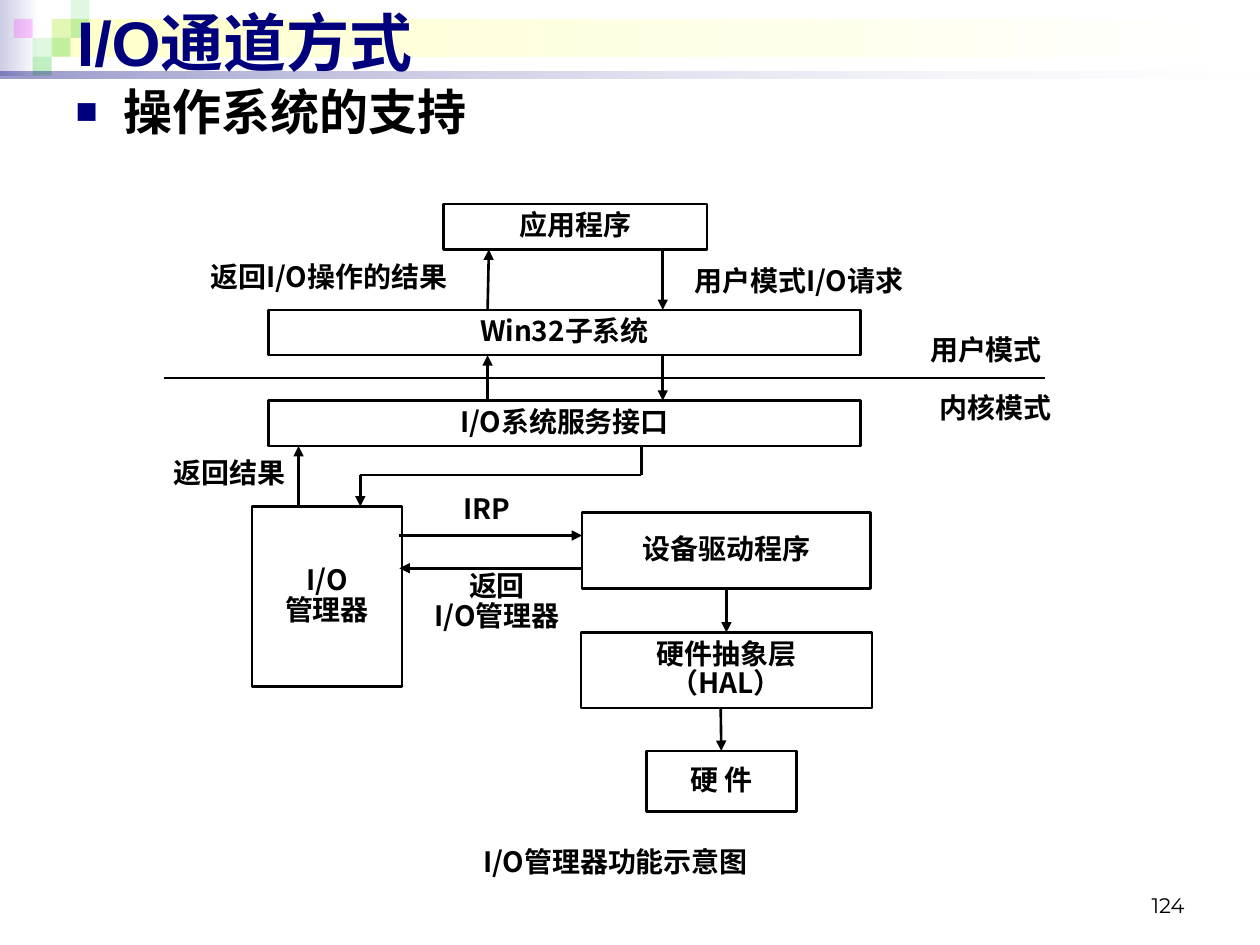
from dataclasses import dataclass

from lxml.etree import SubElement
from pptx import Presentation
from pptx.dml.color import RGBColor
from pptx.enum.shapes import MSO_CONNECTOR, MSO_SHAPE
from pptx.enum.text import MSO_ANCHOR, MSO_AUTO_SIZE, PP_ALIGN
from pptx.oxml.ns import qn
from pptx.slide import Slide
from pptx.util import Pt

PX = 9144  # one px is a hundredth of an inch
NAVY = RGBColor(0x00, 0x00, 0x7D)
LAVENDER = RGBColor(0xCC, 0xCC, 0xE6)
CREAM = RGBColor(0xFF, 0xFF, 0xCC)
GREEN = RGBColor(0x33, 0xCC, 0x33)
MAGENTA = RGBColor(0xFF, 0x00, 0xFF)
BLACK = RGBColor(0x00, 0x00, 0x00)
WHITE = RGBColor(0xFF, 0xFF, 0xFF)
TOP, BOTTOM = 0, 2  # connection sites of a rectangle


def emu(*lengths):
    return [length * PX for length in lengths]


def place(shape, *bounds):
    shape.left, shape.top, shape.width, shape.height = emu(*bounds)


def set_opacity(shape, *percents):
    """Give each fill colour of the shape, in order, its opacity."""
    colours = list(shape._element.spPr.iter(qn("a:srgbClr")))
    for colour, percent in zip(colours, percents):
        SubElement(colour, qn("a:alpha"), val=str(percent * 1000))


@dataclass
class Page:
    slide: Slide
    cjk_font: str = "Noto Sans CJK SC"
    label_size: int = 16
    line_spacing: float = 0.88

    def add_span(self, para, text, size, font, colour=BLACK, bold=True):
        span = para.add_run()
        span.text = text
        span.font.size = Pt(size)
        span.font.name = font
        span.font.bold = bold
        span.font.color.rgb = colour
        SubElement(span.font._element, qn("a:ea"), typeface=self.cjk_font)

    def plain(self, *bounds):
        shape = self.slide.shapes.add_shape(MSO_SHAPE.RECTANGLE, *emu(*bounds))
        shape.shadow.inherit = False
        shape.line.fill.background()
        return shape

    def tile(self, bounds, colour, opacity):
        shape = self.plain(*bounds)
        shape.fill.solid()
        shape.fill.fore_color.rgb = colour
        set_opacity(shape, opacity)

    def fade(self, bounds, colour, opacities=()):
        """A band that runs from the colour to white, left to right."""
        shape = self.plain(*bounds)
        shape.fill.gradient()
        shape.fill.gradient_angle = 0
        for stop, stop_colour in zip(shape.fill.gradient_stops, (colour, WHITE)):
            stop.color.rgb = stop_colour
        set_opacity(shape, *opacities)

    def placeholder(self, shape, bounds, anchor):
        """Move a placeholder in front of the decoration; return its paragraph."""
        self.slide.shapes._spTree.append(shape._element)
        place(shape, *bounds)
        frame = shape.text_frame
        frame.auto_size = MSO_AUTO_SIZE.NONE
        frame.vertical_anchor = anchor
        para = frame.paragraphs[0]
        para.alignment = PP_ALIGN.LEFT
        para.space_before = Pt(0)
        return para

    def title(self, text, *bounds):
        para = self.placeholder(self.slide.shapes.title, bounds, MSO_ANCHOR.MIDDLE)
        self.add_span(para, text, 36, "Arial", NAVY)

    def bullet(self, text, *bounds):
        para = self.placeholder(self.slide.placeholders[1], bounds, MSO_ANCHOR.TOP)
        props = para._p.get_or_add_pPr()
        props.set("marL", str(38 * PX))
        props.set("indent", str(-38 * PX))
        colour = SubElement(props, qn("a:buClr"))
        SubElement(colour, qn("a:srgbClr"), val=str(NAVY))
        SubElement(props, qn("a:buSzPct"), val="75000")
        SubElement(props, qn("a:buChar"), char="■")
        self.add_span(para, text, 28, "Times New Roman")

    def box(self, bounds, *lines, border=BLACK, anchor=MSO_ANCHOR.MIDDLE):
        shape = self.plain(*bounds)
        shape.fill.solid()
        shape.fill.fore_color.rgb = WHITE
        shape.line.color.rgb = border
        shape.line.width = Pt(1.5 if border == BLACK else 0.75)
        frame = shape.text_frame
        frame.word_wrap = True
        frame.vertical_anchor = anchor
        frame.margin_left = frame.margin_top = 0
        frame.margin_right = frame.margin_bottom = 0
        for index, text in enumerate(lines):
            para = frame.add_paragraph() if index else frame.paragraphs[0]
            para.alignment = PP_ALIGN.CENTER
            para.line_spacing = self.line_spacing
            self.add_span(para, text, self.label_size, self.cjk_font)
        return shape

    def label(self, bounds, *lines, anchor=MSO_ANCHOR.MIDDLE):
        self.box(bounds, *lines, border=WHITE, anchor=anchor)

    def line(self, start, end, width=1.5, arrow=True, begin=None, finish=None):
        """begin and finish are (box, side) pairs that the ends are joined to."""
        connector = self.slide.shapes.add_connector(
            MSO_CONNECTOR.STRAIGHT, *emu(*start, *end))
        if begin:
            connector.begin_connect(*begin)
        if finish:
            connector.end_connect(*finish)
        connector.line.color.rgb = BLACK
        connector.line.width = Pt(width)
        props = connector._element.spPr
        if arrow:
            SubElement(props.find(qn("a:ln")), qn("a:tailEnd"), type="triangle")
        SubElement(props, qn("a:effectLst"))

    def number(self, text, *bounds):
        frame = self.slide.shapes.add_textbox(*emu(*bounds)).text_frame
        frame.word_wrap = True
        frame.vertical_anchor = MSO_ANCHOR.BOTTOM
        para = frame.paragraphs[0]
        para.alignment = PP_ALIGN.RIGHT
        self.add_span(para, text, 12, "Montserrat", bold=False)


def draw_header(page):
    page.fade((0, 0, 31, 60), LAVENDER)
    page.fade((41, 15, 955, 30), CREAM)
    side = 15
    for column, row, colour, opacity in (
            (2, 1, GREEN, 15), (3, 0, GREEN, 15), (3, 1, GREEN, 30), (1, 2, GREEN, 15),
            (0, 1, MAGENTA, 20), (2, 2, GREEN, 30), (1, 3, GREEN, 30)):
        page.tile((11 + column * side, row * side, side, side), colour, opacity)
    page.fade((0, 57, 1000, 5), NAVY, (40, 10))
    page.title("I/O通道方式", 51, -3, 937, 71)
    page.bullet("操作系统的支持", 50, 60, 938, 677)


def draw_diagram(page):
    page.line((130, 300), (829, 300), width=1, arrow=False)
    page.box((352, 162, 209, 36), "应用程序")
    page.box((213, 246, 470, 36), "Win32子系统")
    page.box((213, 318, 470, 36), "I/O系统服务接口")
    page.box((200, 402, 119, 143), "I/O", "管理器")
    driver = page.box((462, 407, 229, 60), "设备驱动程序")
    abstraction = page.box((461, 502, 231, 60), "硬件抽象层", "（HAL）")
    hardware = page.box((513, 596, 119, 48), "硬 件")

    page.label((728, 265, 109, 28), "用户模式")
    page.label((733, 310, 114, 30), "内核模式")
    page.label((362, 392, 49, 27), "IRP")
    page.label((336, 455, 117, 47), "返回", "I/O管理器")
    page.label((533, 210, 202, 29), "用户模式I/O请求")
    page.label((130, 365, 104, 33), "返回结果", anchor=MSO_ANCHOR.TOP)
    page.label((148, 206, 226, 30), "返回I/O操作的结果")
    page.label((295, 666, 387, 39), "I/O管理器功能示意图")

    for start, end in (
            ((526, 198), (526, 246)), ((526, 282), (526, 318)),
            ((387, 318), (387, 282)), ((387, 246), (388, 198)),
            ((237, 402), (237, 354)), ((286, 377), (286, 402)),
            ((317, 425), (462, 425)), ((461, 451), (317, 451))):
        page.line(start, end)
    page.line((509, 354), (509, 377), arrow=False)
    page.line((509, 377), (286, 377), arrow=False)
    page.line((576, 467), (576, 502), begin=(driver, BOTTOM), finish=(abstraction, TOP))
    page.line((572, 562), (572, 596), finish=(hardware, TOP))


def main():
    deck = Presentation()
    deck.slide_width, deck.slide_height = emu(1000, 750)
    page = Page(deck.slides.add_slide(deck.slide_layouts[1]))
    draw_header(page)
    draw_diagram(page)
    page.number("124", 717, 683, 233, 50)
    deck.save("out.pptx")


if __name__ == "__main__":
    main()
